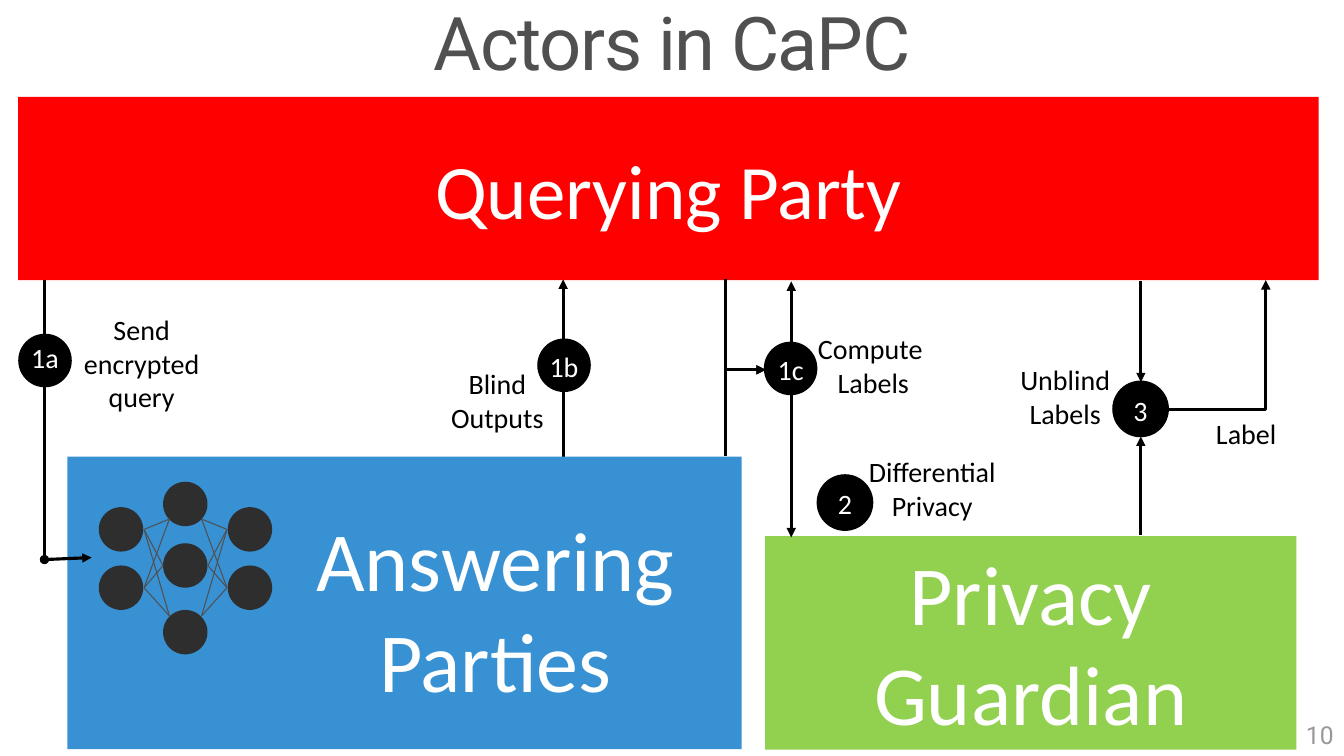
import pptx
import pptx.dml.color
import pptx.enum.shapes
import pptx.enum.text
import pptx.oxml.ns
import pptx.util
from lxml import etree

Cm = pptx.util.Cm
Pt = pptx.util.Pt
SHAPES = pptx.enum.shapes.MSO_SHAPE
CONNECTORS = pptx.enum.shapes.MSO_CONNECTOR
ALIGN = pptx.enum.text.PP_ALIGN
ANCHOR = pptx.enum.text.MSO_ANCHOR
AUTO_SIZE = pptx.enum.text.MSO_AUTO_SIZE

BLACK, WHITE, GREY, NODE = "000000", "FFFFFF", "505050", "2E2E2E"
RED, BLUE, GREEN = "FF0000", "3891D3", "92D050"


def color(value):
    return pptx.dml.color.RGBColor.from_string(value)


def add_element(parent, tag, **attributes):
    return etree.SubElement(parent, pptx.oxml.ns.qn(tag), **attributes)


class Diagram:
    font_name = "Calibri"
    label_size = 20
    line_width = 2.25

    def __init__(self, slide):
        self.slide = slide

    def fill_text(self, shape, text, size, text_color=WHITE, align=ALIGN.CENTER,
                  font=None, frame=None):
        text_frame = shape.text_frame
        settings = {"word_wrap": True, "vertical_anchor": ANCHOR.TOP, **(frame or {})}
        for name, value in settings.items():
            setattr(text_frame, name, value)
        text_frame.text = text
        style = {"name": self.font_name, "size": Pt(size), **(font or {})}
        for paragraph in text_frame.paragraphs:
            paragraph.alignment = align
            for run in paragraph.runs:
                for name, value in style.items():
                    setattr(run.font, name, value)
                run.font.color.rgb = color(text_color)
        return shape

    def shape(self, kind, box, fill, outlined=False, parent=None):
        shapes = (parent or self.slide).shapes
        shape = shapes.add_shape(kind, *map(Cm, box))
        shape.shadow.inherit = False
        shape.fill.solid()
        shape.fill.fore_color.rgb = color(fill)
        if outlined:
            shape.line.color.rgb = color(fill)
            shape.line.width = Pt(self.line_width)
        else:
            shape.line.fill.background()
        return shape

    def text(self, box, text, size=label_size, text_color=BLACK, parent=None, **options):
        shapes = (parent or self.slide).shapes
        shape = shapes.add_textbox(*map(Cm, box))
        return self.fill_text(shape, text, size, text_color, **options)

    def label(self, box, text, size=label_size, text_color=BLACK):
        self.text(box, text, size, text_color,
                  frame={"auto_size": AUTO_SIZE.SHAPE_TO_FIT_TEXT})

    def badge(self, left, top, text, drop=0.15, outlined=False):
        diameter, width = 1.35, 1.25
        group = self.slide.shapes.add_group_shape()
        self.shape(SHAPES.OVAL, (left, top, diameter, diameter), BLACK, outlined, group)
        self.text((left + (diameter - width) / 2, top + drop, width, 1.12), text,
                  text_color=WHITE, parent=group, frame={"word_wrap": False})

    def line(self, start, end, head=None, tail=None, elbow=False,
             line_color=BLACK, width=line_width):
        kind = CONNECTORS.ELBOW if elbow else CONNECTORS.STRAIGHT
        connector = self.slide.shapes.add_connector(kind, *map(Cm, (*start, *end)))
        connector.line.color.rgb = color(line_color)
        connector.line.width = Pt(width)
        properties = connector._element.spPr
        if elbow:
            geometry = properties.find(pptx.oxml.ns.qn("a:prstGeom"))
            geometry.set("prst", "bentConnector2")
        outline = properties.find(pptx.oxml.ns.qn("a:ln"))
        for tag, arrow in (("a:headEnd", head), ("a:tailEnd", tail)):
            if arrow:
                add_element(outline, tag, type=arrow)
        add_element(properties, "a:effectLst")

    def network(self):
        diameter = 1.12
        side_tops = (12.78, 14.25)
        columns = {2.49: side_tops, 4.11: (12.14, 13.69, 15.37), 5.74: side_tops}
        for left, tops in columns.items():
            for top in tops:
                self.shape(SHAPES.OVAL, (left, top, diameter, diameter), NODE)
        # Every side node meets every middle node, mirrored left to right
        middle_points = ((4.27, 13.08), (4.11, 14.25), (4.27, 15.52))
        mirror = 9.35
        for top in side_tops:
            y = top + diameter / 2
            for middle_x, middle_y in middle_points:
                for start_x, end_x in ((3.63, middle_x), (mirror - 3.63, mirror - middle_x)):
                    self.line((start_x, y), (end_x, middle_y), line_color=GREY, width=0.75)


def main():
    presentation = pptx.Presentation()
    presentation.slide_width = Cm(33.87)
    presentation.slide_height = Cm(19.05)
    slide = presentation.slides.add_slide(presentation.slide_layouts[6])
    diagram = Diagram(slide)

    # Title
    title = diagram.text((0, 0.03, 33.87, 2.44), "Actors in CaPC", 52.9, GREY,
                         font={"name": "Roboto"})
    paragraph = title.text_frame.paragraphs[0]
    paragraph.line_spacing = 0.9
    paragraph.runs[0]._r.get_or_add_rPr().set("spc", "-100")

    # Message lines behind the parties
    arrow = "triangle"
    diagram.line((14.19, 11.51), (14.19, 7.04), tail=arrow)
    diagram.line((1.12, 14.05), (1.12, 7.04))

    # Parties
    querying = diagram.shape(SHAPES.RECTANGLE, (0.46, 2.44, 32.77, 4.62), RED)
    diagram.fill_text(querying, "Querying Party", 55,
                      frame={"vertical_anchor": ANCHOR.MIDDLE})
    diagram.shape(SHAPES.RECTANGLE, (1.7, 11.51, 16.99, 7.37), BLUE)
    diagram.label((7.67, 12.67, 9.63, 5.38), "Answering Parties", 60, WHITE)
    guardian = diagram.shape(SHAPES.RECTANGLE, (19.28, 13.51, 13.39, 5.38), GREEN)
    diagram.fill_text(guardian, "Privacy Guardian", 60,
                      frame={"auto_size": AUTO_SIZE.SHAPE_TO_FIT_TEXT})

    # Step labels
    for box, text in (
        ((1.22, 7.75, 4.7, 2.82), "Send encrypted query"),
        ((10.34, 9.12, 4.39, 1.96), "Blind\nOutputs"),
        ((20.27, 8.23, 3.48, 1.96), "Compute \nLabels"),
        ((24.89, 9.02, 3.91, 1.96), "Unblind\nLabels"),
        ((30.33, 10.36, 2.31, 1.12), "Label "),
        ((21.54, 11.33, 3.91, 1.96), "Differential Privacy"),
    ):
        diagram.label(box, text)

    # Step badges
    diagram.badge(0.46, 8.41, "1a", drop=0.05)
    diagram.badge(13.54, 8.53, "1b")
    diagram.badge(19.25, 8.61, "1c")
    diagram.badge(20.62, 11.99, "2", outlined=True)
    diagram.badge(28.07, 9.63, "3", outlined=True)

    # Message arrows
    diagram.line((1.12, 14.1), (2.31, 14.05), head="oval", tail=arrow)
    for end_y in (11.48, 7.04):
        diagram.line((19.3, 9.32), (18.29, end_y), head=arrow, elbow=True)
    for x, start_y, end_y in ((19.94, 9.88, 13.54), (19.94, 8.61, 7.09),
                              (28.75, 7.09, 9.63), (28.75, 13.49, 11)):
        diagram.line((x, start_y), (x, end_y), tail=arrow)
    diagram.line((29.44, 10.31), (31.9, 7.06), tail=arrow, elbow=True)

    # Neural network
    diagram.network()

    # Slide number
    diagram.text((26.24, 18.01, 7.62, 1.02), "10", 17.6, "989898", align=ALIGN.RIGHT,
                 font={"name": "Roboto"}, frame={"vertical_anchor": ANCHOR.MIDDLE})

    presentation.save("out.pptx")


if __name__ == "__main__":
    main()
